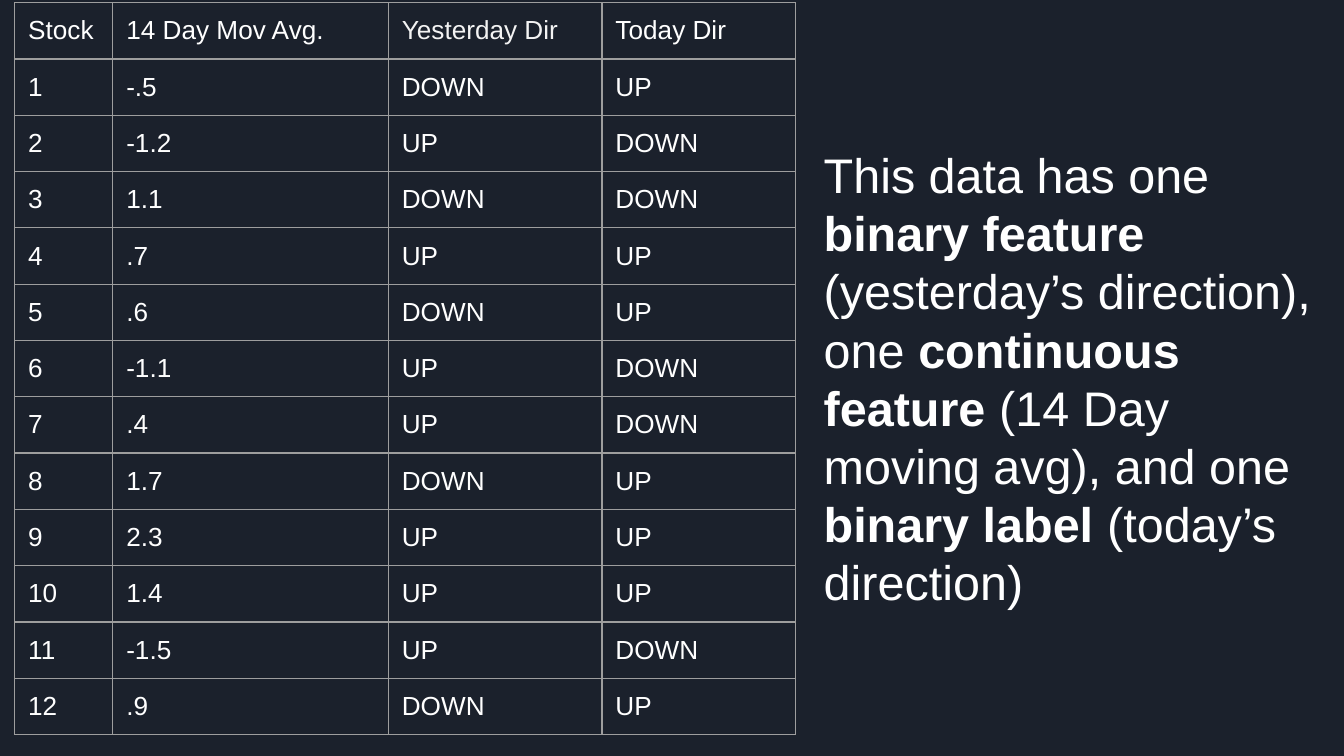
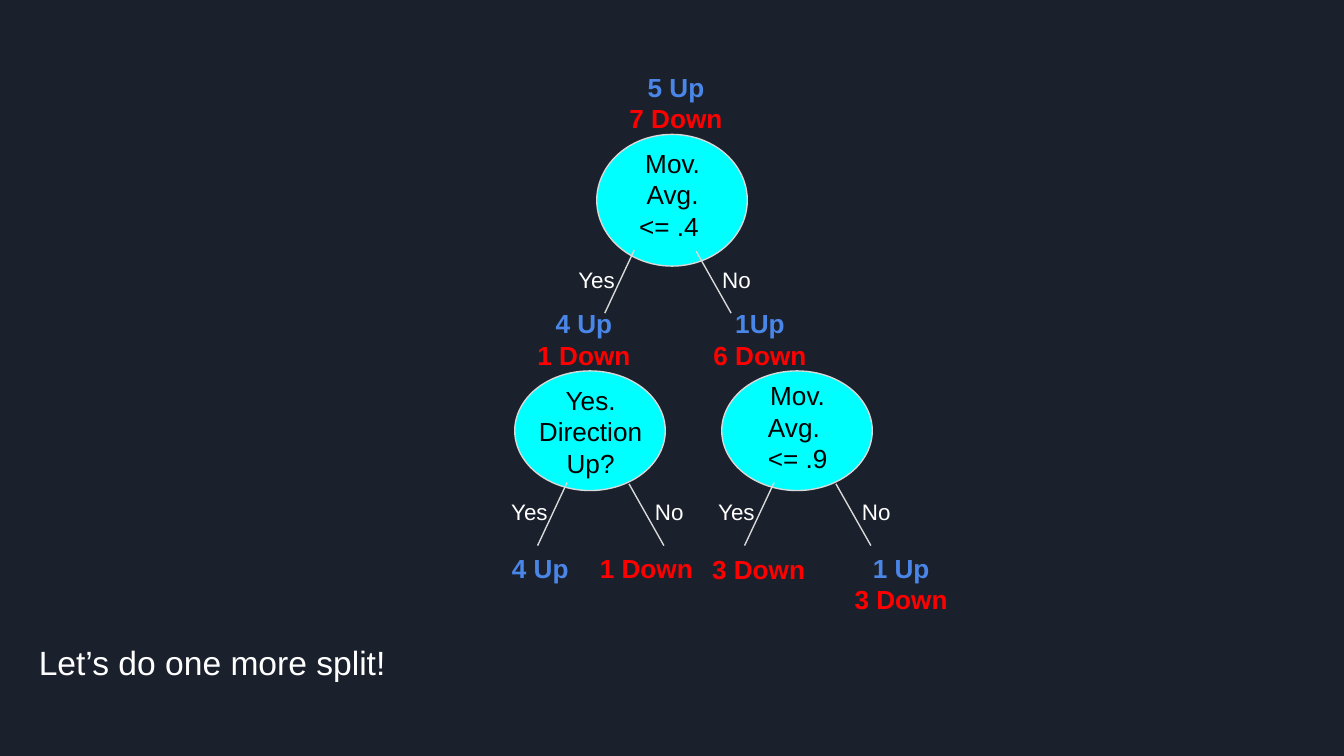
from lxml.etree import SubElement
from pptx import Presentation
from pptx.dml.color import RGBColor
from pptx.enum.shapes import MSO_CONNECTOR, MSO_SHAPE
from pptx.enum.text import MSO_ANCHOR, PP_ALIGN
from pptx.oxml import parse_xml
from pptx.oxml.ns import nsdecls, qn
from pptx.util import Emu, Pt

EMU_PER_PX = 9144
FONT = "Arial"
NAVY, WHITE, OFF_WHITE, BLACK = "1B212C", "FFFFFF", "F3F3F3", "000000"
GRID, OUTLINE, CYAN = "9E9E9E", "D9D9D9", "00FFFF"
UP_BLUE, DOWN_RED = "4A86E8", "FF0000"
PADDING = 10

HEADINGS = ("Stock", "14 Day Mov Avg.", "Yesterday Dir", "Today Dir")
STOCKS = (
    ("-.5", "DOWN", "UP"),
    ("-1.2", "UP", "DOWN"),
    ("1.1", "DOWN", "DOWN"),
    (".7", "UP", "UP"),
    (".6", "DOWN", "UP"),
    ("-1.1", "UP", "DOWN"),
    (".4", "UP", "DOWN"),
    ("1.7", "DOWN", "UP"),
    ("2.3", "UP", "UP"),
    ("1.4", "UP", "UP"),
    ("-1.5", "UP", "DOWN"),
    (".9", "DOWN", "UP"),
)
SUMMARY = (
    ("This data has one ", False),
    ("binary feature", True),
    (" (yesterday’s direction), one ", False),
    ("continuous feature", True),
    (" (14 Day moving avg), and one ", False),
    ("binary label", True),
    (" (today’s direction)", False),
)


def px(*lengths):
    """Turn px lengths into EMU."""
    return [Emu(round(length * EMU_PER_PX)) for length in lengths]


def rgb(hex_colour):
    """Turn a hex string into a colour."""
    return RGBColor.from_string(hex_colour)


def set_font(paragraph, size, colour, bold=False):
    """Give a whole paragraph its font."""
    font = paragraph.font
    font.name, font.size, font.bold = FONT, Pt(size), bold
    font.color.rgb = rgb(colour)


def pad(holder):
    """Give a text frame or a table cell equal margins."""
    margin, = px(PADDING)
    holder.margin_left = holder.margin_right = margin
    holder.margin_top = holder.margin_bottom = margin


def add_text(slide, box, lines, size, align=PP_ALIGN.CENTER, anchor=MSO_ANCHOR.TOP, bold=False):
    """Place (text, colour) lines in a wrapping text box."""
    frame = slide.shapes.add_textbox(*px(*box)).text_frame
    frame.word_wrap = True
    frame.vertical_anchor = anchor
    pad(frame)
    for index, (text, colour) in enumerate(lines):
        paragraph = frame.add_paragraph() if index else frame.paragraphs[0]
        paragraph.text = text
        paragraph.alignment = align
        set_font(paragraph, size, colour, bold)


def add_filled(slide, preset, box, colour):
    """Add a flat preset shape without an outline."""
    shape = slide.shapes.add_shape(preset, *px(*box))
    shape.shadow.inherit = False
    shape.fill.solid()
    shape.fill.fore_color.rgb = rgb(colour)
    shape.line.fill.background()
    return shape


def outline(line):
    """Draw a line in the thin grey of the tree."""
    line.color.rgb = rgb(OUTLINE)
    line.width = Pt(0.75)


def add_cell_borders(cell):
    """Draw a thin border on each side of a cell."""
    properties = cell._tc.get_or_add_tcPr()
    for index, side in enumerate("LRTB"):
        properties.insert(index, parse_xml(
            f'<a:ln{side} {nsdecls("a")} w="{Pt(0.75)}"><a:solidFill>'
            f'<a:srgbClr val="{GRID}"/></a:solidFill></a:ln{side}>'))


def add_stock_table(slide, left, top, height):
    """Place the table of stocks and their directions."""
    widths = (73, 205, 159, 144)
    rows = [HEADINGS] + [(str(number), *stock) for number, stock in enumerate(STOCKS, 1)]
    table = slide.shapes.add_table(
        len(rows), len(widths), *px(left, top, sum(widths), height)).table
    table.first_row = table.horz_banding = False
    for column, width in zip(table.columns, px(*widths)):
        column.width = width
    for row, values in zip(table.rows, rows):
        row.height, = px(height / len(rows))
        for cell, value in zip(row.cells, values):
            cell.text = value
            cell.fill.background()
            pad(cell)
            add_cell_borders(cell)
            set_font(cell.text_frame.paragraphs[0], 14,
                     OFF_WHITE if value == "Yesterday Dir" else WHITE)


def add_summary(slide, box):
    """Place the statement about features and label."""
    frame = add_filled(slide, MSO_SHAPE.RECTANGLE, box, NAVY).text_frame
    frame.word_wrap = True
    frame.vertical_anchor = MSO_ANCHOR.MIDDLE
    pad(frame)
    paragraph = frame.paragraphs[0]
    paragraph.alignment = PP_ALIGN.LEFT
    set_font(paragraph, 26, WHITE)
    for text, bold in SUMMARY:
        run = paragraph.add_run()
        run.text = text
        run.font.bold = bold


def add_decision(slide, left, top, height, text_height, question, anchor=MSO_ANCHOR.MIDDLE):
    """Place one oval decision node with its question."""
    oval = add_filled(slide, MSO_SHAPE.OVAL, (left, top, 112, height), CYAN)
    outline(oval.line)
    add_text(slide, (left + 5, top, 103, text_height),
             [(line, BLACK) for line in question], 14, anchor=anchor)


def add_branches(slide, left, top):
    """Place the Yes and No branches below a node."""
    branches = (("Yes", 0, (61, -2, 39, 45)), ("No", 104, (107, -1, 133, 45)))
    for answer, offset, (x1, y1, x2, y2) in branches:
        add_text(slide, (left + offset, top, 66, 37), [(answer, WHITE)], 12)
        branch = slide.shapes.add_connector(
            MSO_CONNECTOR.STRAIGHT, *px(left + x1, top + y1, left + x2, top + y2))
        outline(branch.line)
        SubElement(branch._element.spPr, qn("a:effectLst"))


def add_tally(slide, left, top, width, *counts):
    """Place Up counts in blue and Down counts in red."""
    lines = [(count, UP_BLUE if count.endswith("Up") else DOWN_RED) for count in counts]
    add_text(slide, (left, top, width, 56), lines, 14, bold=True)


def build_data_slide(slide):
    """Build the slide with the stock data."""
    add_stock_table(slide, 11, 2, 543)
    add_summary(slide, (603, 2, 402, 558))


def build_tree_slide(slide):
    """Build the slide with the decision tree."""
    add_decision(slide, 444, 100, 98, 89, ("Mov. Avg.", "<= .4 "))
    add_decision(slide, 383, 276, 89, 83, ("Yes. Direction Up?",), MSO_ANCHOR.TOP)
    add_decision(slide, 537, 276, 89, 83, ("Mov. Avg. ", "<= .9"))
    for left, top in ((411, 188), (361, 361), (515, 361)):
        add_branches(slide, left, top)
    add_tally(slide, 455, 43, 96, "5 Up", "7 Down")
    add_tally(slide, 383, 219, 103, "4 Up", "1 Down")
    add_tally(slide, 514, 219, 103, "1Up", "6 Down")
    add_tally(slide, 362, 401, 80, "4 Up")
    add_tally(slide, 433, 401, 96, "1 Down")
    add_tally(slide, 518, 402, 93, "3 Down")
    add_tally(slide, 612, 401, 117, "1 Up", "3 Down")
    add_text(slide, (19, 468, 969, 73), [("Let’s do one more split!", WHITE)], 18,
             align=PP_ALIGN.LEFT)


def main():
    """Build and save the presentation."""
    presentation = Presentation()
    presentation.slide_width, presentation.slide_height = px(1000, 562.5)
    backdrop = presentation.slide_master.background.fill
    backdrop.solid()
    backdrop.fore_color.rgb = rgb(NAVY)
    blank = presentation.slide_layouts[6]
    for build in (build_data_slide, build_tree_slide):
        build(presentation.slides.add_slide(blank))
    presentation.save("out.pptx")


if __name__ == "__main__":
    main()
